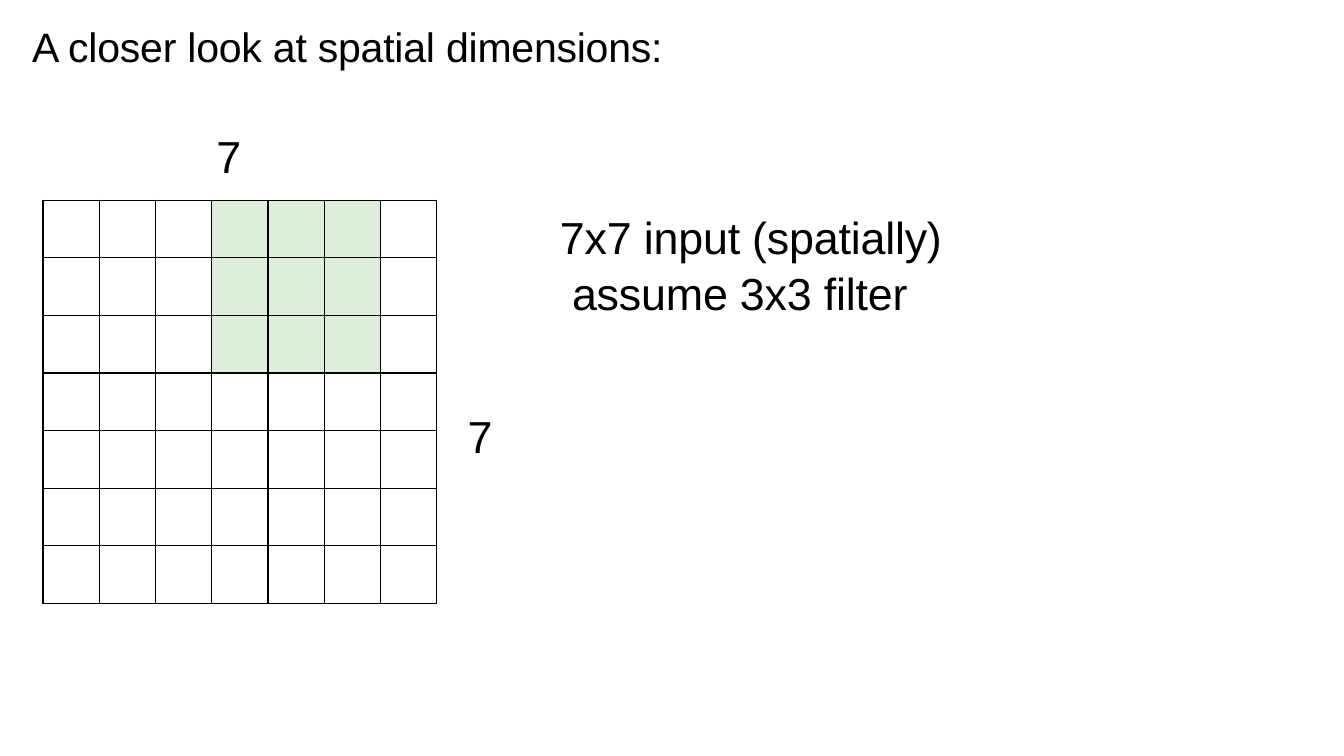
"""Build a slide showing a 3x3 filter placed on a 7x7 input grid."""
from lxml.etree import SubElement
from pptx import Presentation
from pptx.dml.color import RGBColor
from pptx.oxml.ns import qn
from pptx.util import Pt

BLACK = RGBColor(0, 0, 0)
FILTER_GREEN = RGBColor(0xDF, 0xED, 0xDB)
FONT = "Arial"

TITLE = "A closer look at spatial dimensions:"
DESCRIPTION = ["7x7 input (spatially)", "assume 3x3 filter"]
SIDE_LABEL = "7"
GRID_SIZE = 7
FILTER_SIZE = 3
FILTER_COLUMN = 3
GRID_LEFT, GRID_TOP = 23.04, 107.28
CELL_WIDTH, CELL_HEIGHT = 30.14, 30.86


def add_text(slide, lines, left, top, width, height, size=24, tracking=0, line_spacing=1.0, last_indent=0):
    box = slide.shapes.add_textbox(Pt(left), Pt(top), Pt(width), Pt(height))
    frame = box.text_frame
    frame.word_wrap = True
    frame.margin_left = frame.margin_right = frame.margin_bottom = 0
    frame.margin_top = Pt(0.72)
    frame.text = "\n".join(lines)
    frame.paragraphs[0].space_before = Pt(1)
    for para in frame.paragraphs:
        para.line_spacing = line_spacing
        for span in para.runs:
            span.font.name = FONT
            span.font.size = Pt(size)
            span.font.color.rgb = BLACK
            span.font._element.set("spc", str(tracking))
    if last_indent:
        frame.paragraphs[-1]._p.get_or_add_pPr().set("marL", str(Pt(last_indent)))


def add_borders(cell):
    properties = cell._tc.get_or_add_tcPr()
    for position, side in enumerate(("a:lnL", "a:lnR", "a:lnT", "a:lnB")):
        line = SubElement(properties, qn(side), w=str(Pt(0.75)))
        properties.remove(line)
        properties.insert(position, line)
        fill = SubElement(line, qn("a:solidFill"))
        SubElement(fill, qn("a:srgbClr"), val=str(BLACK))


def add_grid(slide):
    frame = slide.shapes.add_table(
        GRID_SIZE, GRID_SIZE, Pt(GRID_LEFT), Pt(GRID_TOP),
        Pt(GRID_SIZE * CELL_WIDTH), Pt(GRID_SIZE * CELL_HEIGHT),
    )
    table = frame.table
    table.first_row = table.horz_banding = False
    for column in table.columns:
        column.width = Pt(CELL_WIDTH)
    for row_index, row in enumerate(table.rows):
        row.height = Pt(CELL_HEIGHT)
        for column_index, cell in enumerate(row.cells):
            in_filter = row_index < FILTER_SIZE and 0 <= column_index - FILTER_COLUMN < FILTER_SIZE
            if in_filter:
                cell.fill.solid()
                cell.fill.fore_color.rgb = FILTER_GREEN
            else:
                cell.fill.background()
            add_borders(cell)


def main():
    deck = Presentation()
    deck.slide_width, deck.slide_height = Pt(720), Pt(405)
    page = deck.slides.add_slide(deck.slide_layouts[6])
    add_text(page, [SIDE_LABEL], 115.92, 68, 15, 31)
    add_text(page, DESCRIPTION, 300, 110.16, 207, 62, tracking=-10, line_spacing=1.05, last_indent=6.5)
    add_text(page, [SIDE_LABEL], 250.56, 218, 15, 31)
    add_text(page, [TITLE], 17.28, 11, 344, 28, size=22, tracking=-10)
    add_grid(page)
    deck.save("out.pptx")


if __name__ == "__main__":
    main()
